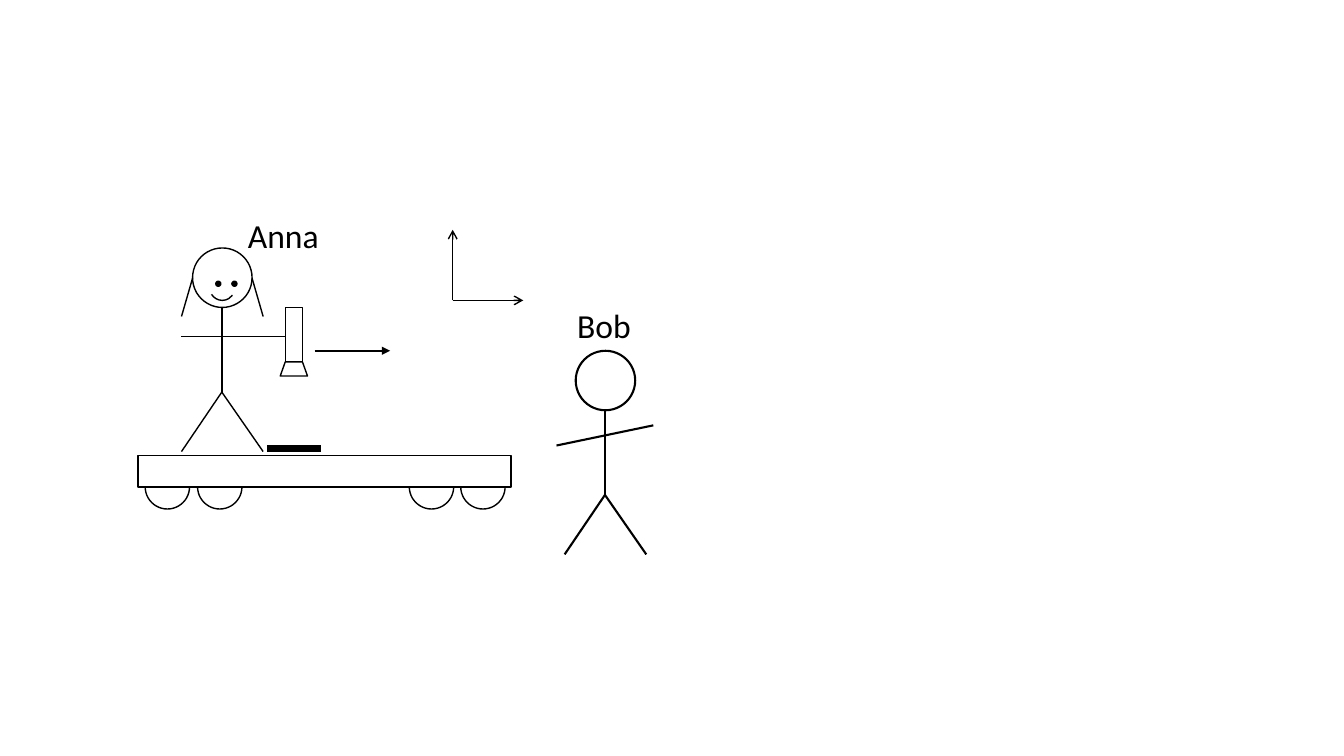
import pptx
import pptx.dml.color
import pptx.enum.shapes
import pptx.enum.text
import pptx.oxml
import pptx.oxml.ns
import pptx.util

Inches = pptx.util.Inches
Shape = pptx.enum.shapes.MSO_SHAPE
BLACK = "000000"
WHITE = "FFFFFF"


def colour(hex_string):
    return pptx.dml.color.RGBColor.from_string(hex_string)


def add_outline(parent, kind, left, top, width, height, fill=None, weight=1, adjustments=()):
    """Add a black-outlined preset shape, unfilled unless a fill is given."""
    shape = parent.shapes.add_shape(
        kind, Inches(left), Inches(top), Inches(width), Inches(height))
    shape.shadow.inherit = False
    for index, value in enumerate(adjustments):
        shape.adjustments[index] = value
    if fill:
        shape.fill.solid()
        shape.fill.fore_color.rgb = colour(fill)
    else:
        shape.fill.background()
    shape.line.color.rgb = colour(BLACK)
    shape.line.width = pptx.util.Pt(weight)
    return shape


def add_line(parent, start, end, weight=1, arrowhead=None):
    """Add a straight black line, with an optional arrowhead at its end."""
    connector = parent.shapes.add_connector(
        pptx.enum.shapes.MSO_CONNECTOR.STRAIGHT,
        Inches(start[0]), Inches(start[1]), Inches(end[0]), Inches(end[1]))
    connector.line.color.rgb = colour(BLACK)
    connector.line.width = pptx.util.Pt(weight)
    if arrowhead:
        tail = pptx.oxml.parse_xml(
            f'<a:tailEnd {pptx.oxml.ns.nsdecls("a")} type="{arrowhead}"/>')
        connector.line._get_or_add_ln().append(tail)
    effects = pptx.oxml.parse_xml(f'<a:effectLst {pptx.oxml.ns.nsdecls("a")}/>')
    connector._element.spPr.append(effects)
    return connector


def add_name(slide, text, left, top):
    """Add a centred name label."""
    box = slide.shapes.add_textbox(Inches(left), Inches(top), Inches(0.98), Inches(0.5))
    frame = box.text_frame
    frame.word_wrap = True
    frame.auto_size = pptx.enum.text.MSO_AUTO_SIZE.SHAPE_TO_FIT_TEXT
    paragraph = frame.paragraphs[0]
    paragraph.alignment = pptx.enum.text.PP_ALIGN.CENTER
    run = paragraph.add_run()
    run.text = text
    run.font.name = "Calibri"
    run.font.size = pptx.util.Pt(24)
    run.font.color.rgb = colour(BLACK)


def add_stick_figure(slide, center, top, weight):
    """Add a head, body and two legs as a group, and return the group."""
    figure = slide.shapes.add_group_shape()
    neck, hip, foot = top + 0.59, top + 1.43, top + 2.02
    add_outline(figure, Shape.OVAL, center - 0.29, top, 0.59, 0.59, weight=weight)
    add_line(figure, (center, neck), (center, hip), weight)
    for foot_x in (center - 0.4, center + 0.41):
        add_line(figure, (center, hip), (foot_x, foot), weight)
    return figure


def add_lamp(slide):
    lamp = slide.shapes.add_group_shape()
    add_outline(lamp, Shape.RECTANGLE, 2.83, 3.05, 0.17, 0.56, WHITE)
    add_outline(lamp, Shape.TRAPEZOID, 2.78, 3.59, 0.27, 0.14, WHITE, adjustments=(0.355,))


def add_anna(slide):
    anna = add_stick_figure(slide, 2.2, 2.46, 1)
    # Eyes, hair and smile
    for eye_left in (2.14, 2.3):
        add_outline(anna, Shape.OVAL, eye_left, 2.79, 0.05, 0.05, BLACK)
    for root, tip in ((1.91, 1.8), (2.5, 2.61)):
        add_line(anna, (root, 2.76), (tip, 3.14))
    add_outline(anna, Shape.ARC, 2.08, 2.73, 0.25, 0.25, adjustments=(21.747, 89.295))
    add_name(slide, "Anna", 2.32, 2.08)


def add_bob(slide):
    bob = add_stick_figure(slide, 6, 3.48, 1.5)
    add_line(bob, (5.52, 4.42), (6.48, 4.22), 1.5)
    add_name(slide, "Bob", 5.5, 2.98)


def add_wagon(slide):
    wagon = slide.shapes.add_group_shape()
    for wheel_left in (1.44, 1.96, 4.06, 4.57):
        add_outline(wagon, Shape.OVAL, wheel_left, 4.61, 0.44, 0.44, WHITE)
    add_outline(wagon, Shape.RECTANGLE, 1.37, 4.52, 3.7, 0.31, WHITE)


def add_axes(slide):
    axes = slide.shapes.add_group_shape()
    origin = (4.49, 2.98)
    for end in ((5.19, 2.98), (4.49, 2.28)):
        add_line(axes, origin, end, arrowhead="arrow")


def main():
    presentation = pptx.Presentation()
    presentation.slide_width = Inches(13.33)
    presentation.slide_height = Inches(7.5)
    slide = presentation.slides.add_slide(presentation.slide_layouts[6])

    # Anna's arms, behind the lamp she holds
    add_line(slide, (1.8, 3.34), (2.92, 3.34))
    add_lamp(slide)

    # Mirror on the wagon floor
    add_line(slide, (2.65, 4.45), (3.18, 4.45), 4.5)

    add_anna(slide)
    add_wagon(slide)
    add_bob(slide)

    # Direction of motion and coordinate axes
    add_line(slide, (3.12, 3.48), (3.87, 3.48), 1.5, "triangle")
    add_axes(slide)

    presentation.save("out.pptx")


if __name__ == "__main__":
    main()
